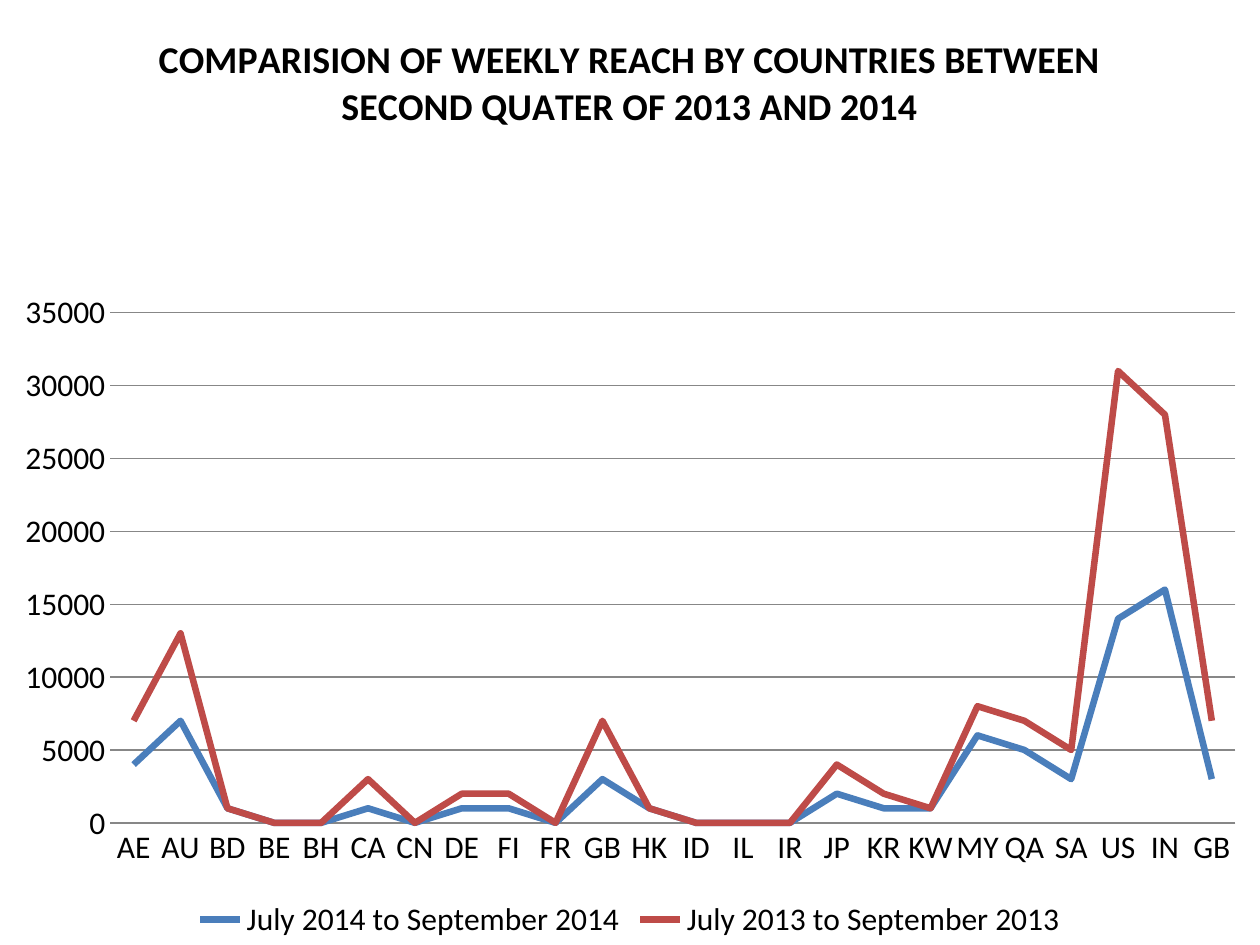
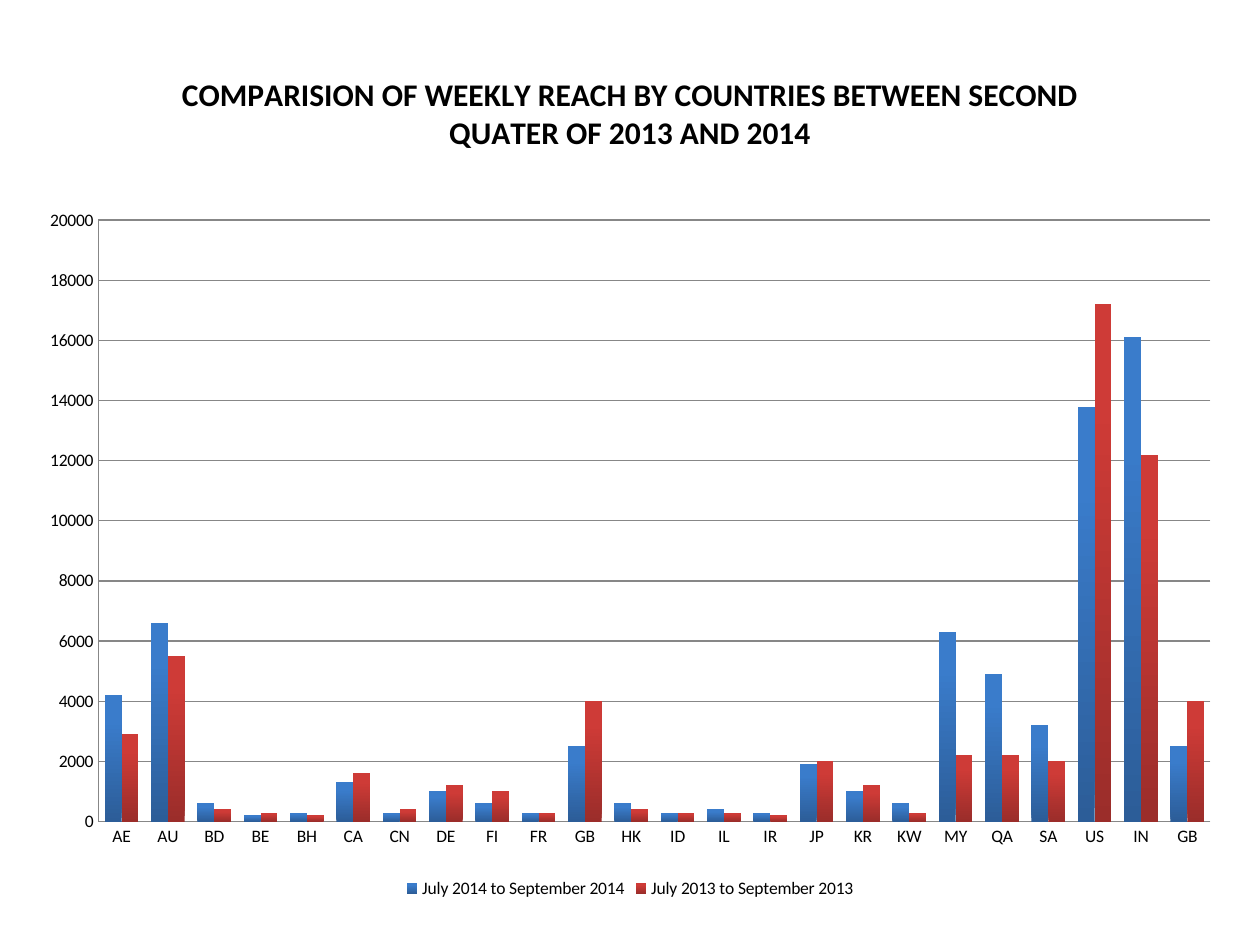
"""Builds two chart slides comparing weekly reach by country."""
from pptx import Presentation
from pptx.chart.data import CategoryChartData
from pptx.dml.color import RGBColor
from pptx.enum.chart import XL_CHART_TYPE, XL_LEGEND_POSITION, XL_TICK_MARK
from pptx.oxml import parse_xml
from pptx.oxml.ns import nsdecls, qn
from pptx.util import Inches, Pt

LINE = XL_CHART_TYPE.LINE_STACKED
COLUMN = XL_CHART_TYPE.COLUMN_CLUSTERED
BOTTOM = XL_LEGEND_POSITION.BOTTOM
NO_TICK = XL_TICK_MARK.NONE

HEADING = "COMPARISION OF WEEKLY REACH BY COUNTRIES BETWEEN SECOND QUATER OF 2013 AND 2014"
COUNTRIES = ("AE AU BD BE BH CA CN DE FI FR GB HK ID IL IR JP KR KW "
             "MY QA SA US IN GB").split()
REACH = {
    "July 2014 to September 2014": [
        4200, 6600, 600, 200, 300, 1300, 300, 1000, 600, 300, 2500, 600,
        300, 400, 300, 1900, 1000, 600, 6300, 4900, 3200, 13800, 16100, 2500],
    "July 2013 to September 2013": [
        2900, 5500, 400, 300, 200, 1600, 400, 1200, 1000, 300, 4000, 400,
        300, 300, 200, 2000, 1200, 300, 2200, 2200, 2000, 17200, 12200, 4000],
}


def color(value):
    """Turn a hex string into a colour."""
    return RGBColor.from_string(value)


def round_to(value, unit):
    """Round a value to the nearest unit, halves upwards."""
    return (value + unit // 2) // unit * unit


class ReachDeck:
    """Holds the shared style and the current slide."""

    font = "Calibri"
    ink = "000000"
    rule = "878787"
    line_colors = ("4A7EBB", "BE4B48")
    bar_colors = (("2C5D98", "3A7CCB"), ("9B2D2A", "CE3B37"))

    def __init__(self):
        """Start an empty deck of 10 by 7.5 inches."""
        self.deck = Presentation()
        self.deck.slide_width = Inches(10)
        self.deck.slide_height = Inches(7.5)
        self.slide = None

    def new_slide(self):
        """Add a blank slide and make it current."""
        self.slide = self.deck.slides.add_slide(self.deck.slide_layouts[6])

    def style_font(self, font, size, bold=False):
        """Apply the shared face and ink at a size."""
        font.name, font.size, font.bold = self.font, Pt(size), bold
        font.color.rgb = color(self.ink)

    def add_chart(self, kind, area, plot, size, title_size, top, step, unit):
        """Add a reach chart; area is in percent of the slide, plot in percent of the chart."""
        data = CategoryChartData(number_format="0")
        data.categories = COUNTRIES
        for name, values in REACH.items():
            data.add_series(name, [round_to(value, unit) for value in values])
        width, height = self.deck.slide_width, self.deck.slide_height
        left, upper, across, down = (share / 100 for share in area)
        frame = self.slide.shapes.add_chart(
            kind, int(left * width), int(upper * height),
            int(across * width), int(down * height), data)
        chart = frame.chart
        self.style_font(chart.font, size)
        self.add_title(chart, title_size)
        self.style_axes(chart, size, top, step)
        self.place_plot(chart, plot)
        chart.has_legend = True
        chart.legend.position = BOTTOM
        chart.legend.include_in_layout = False
        self.style_font(chart.legend.font, size)
        return chart.plots[0]

    def add_title(self, chart, size):
        """Write the heading above the plot."""
        chart.has_title = True
        span = chart.chart_title.text_frame.paragraphs[0].add_run()
        span.text = HEADING
        self.style_font(span.font, size, bold=True)

    def style_axes(self, chart, size, top, step):
        """Set scale, labels, ticks and rules."""
        for axis in (chart.category_axis, chart.value_axis):
            axis.major_tick_mark = axis.minor_tick_mark = NO_TICK
            self.style_font(axis.tick_labels.font, size)
            self.style_rule(axis.format.line)
        scale = chart.value_axis
        scale.minimum_scale, scale.maximum_scale = 0, top
        scale.major_unit = step
        scale.tick_labels.number_format = "0"
        scale.tick_labels.number_format_is_linked = False
        scale.has_major_gridlines = True
        self.style_rule(scale.major_gridlines.format.line)

    def style_rule(self, line):
        """Draw an axis or grid line as a thin grey rule."""
        line.color.rgb = color(self.rule)
        line.width = Pt(0.75)

    def place_plot(self, chart, plot):
        """Fix the inner plot area within the chart."""
        sizes = "".join(f'<c:{tag} val="{share / 100:.4f}"/>'
                        for tag, share in zip("xywh", plot))
        layout = parse_xml(
            f'<c:layout {nsdecls("c")}><c:manualLayout><c:layoutTarget val="inner"/>'
            f'<c:xMode val="edge"/><c:yMode val="edge"/>{sizes}'
            '</c:manualLayout></c:layout>')
        area = chart._chartSpace.chart.plotArea
        for former in area.findall(qn("c:layout")):
            area.remove(former)
        area.insert(0, layout)

    def add_line_slide(self):
        """Add the stacked line comparison."""
        self.new_slide()
        plot = self.add_chart(LINE, (0, 0, 100, 100), (8.75, 33.1, 89.3, 54),
                              18, 21.6, 35000, 5000, 1000)
        plot.chart.value_axis.format.line.fill.background()
        for series, shade in zip(plot.series, self.line_colors):
            series.smooth = False
            series.format.line.color.rgb = color(shade)
            series.format.line.width = Pt(3.75)

    def add_column_slide(self):
        """Add the clustered column comparison."""
        self.new_slide()
        plot = self.add_chart(COLUMN, (2, 4.53, 96, 91.07), (6.05, 20.6, 91.95, 69.9),
                              10, 18, 20000, 2000, 100)
        plot.gap_width, plot.overlap = 75, 0
        plot.vary_by_categories = False
        for series, shades in zip(plot.series, self.bar_colors):
            fill = series.format.fill
            fill.gradient()
            fill.gradient_angle = 90
            for stop, shade, position in zip(fill.gradient_stops, shades, (0, 0.8)):
                stop.color.rgb = color(shade)
                stop.position = position


def main():
    """Build and save the deck."""
    reach = ReachDeck()
    reach.add_line_slide()
    reach.add_column_slide()
    reach.deck.save("out.pptx")


if __name__ == "__main__":
    main()
